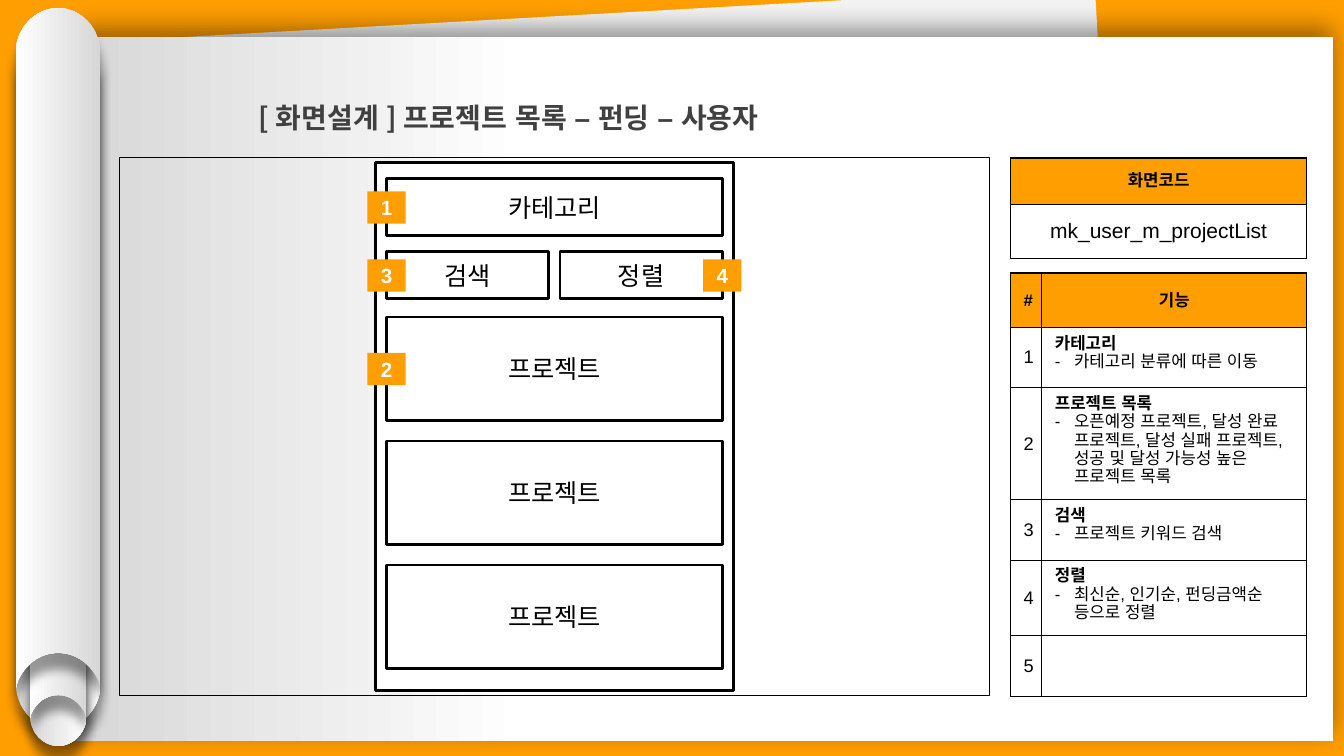
from dataclasses import dataclass
from typing import Optional

import lxml.etree
import pptx
import pptx.dml.color
import pptx.enum.shapes
import pptx.enum.text
import pptx.oxml
import pptx.oxml.ns
import pptx.util

COLORS = {"orange": "FF9E00", "white": "FFFFFF", "black": "000000",
          "sheet": "F2F2F2", "shade": "D7D7D7", "title": "404040"}
BODY_FONT, TITLE_FONT = "Arial", "Noto Sans CJK KR"
COLUMNS, ROWS = 160, 90
CENTER = pptx.enum.text.PP_ALIGN.CENTER
MIDDLE = pptx.enum.text.MSO_ANCHOR.MIDDLE
RECTANGLE = pptx.enum.shapes.MSO_SHAPE.RECTANGLE
qn = pptx.oxml.ns.qn

presentation = pptx.Presentation()
presentation.slide_width = pptx.util.Emu(12192000)
presentation.slide_height = pptx.util.Inches(7.5)
slide = presentation.slides.add_slide(presentation.slide_layouts[5])


def across(columns: float) -> int:
    return round(presentation.slide_width * columns / COLUMNS)


def down(rows: float) -> int:
    return round(presentation.slide_height * rows / ROWS)


def color(name: str):
    return pptx.dml.color.RGBColor.from_string(COLORS[name])


@dataclass(frozen=True)
class Box:
    column: float
    row: float
    width: float
    height: float

    def place(self) -> tuple:
        return across(self.column), down(self.row), across(self.width), down(self.height)


@dataclass(frozen=True)
class Panel:
    box: Box
    label: str
    badge: Optional[str] = None
    badge_right: bool = False


@dataclass(frozen=True)
class Feature:
    rows: float
    name: str = ""
    detail: str = ""


def add_run(paragraph, text: str, size: float, tint: str = "black",
            bold: bool = False, latin: str = BODY_FONT) -> None:
    run = paragraph.add_run()
    run.text = text
    font = run.font
    font.size, font.bold, font.name = pptx.util.Pt(size), bold, latin
    font.color.rgb = color(tint)
    properties = run._r.get_or_add_rPr()
    properties.set("lang", "ko-KR")
    lxml.etree.SubElement(properties, qn("a:ea")).set("typeface", BODY_FONT)


def add_rectangle(shapes, box: Box, fill: Optional[str] = None, line: float = 0):
    shape = shapes.add_shape(RECTANGLE, *box.place())
    shape.shadow.inherit = False
    if fill:
        shape.fill.solid()
        shape.fill.fore_color.rgb = color(fill)
    else:
        shape.fill.background()
    if line:
        shape.line.color.rgb = color("black")
        shape.line.width = pptx.util.Pt(line)
    else:
        shape.line.fill.background()
    return shape


def add_label(shape, text: str, size: float, tint: str = "black", bold: bool = False) -> None:
    shape.text_frame.vertical_anchor = MIDDLE
    paragraph = shape.text_frame.paragraphs[0]
    paragraph.alignment = CENTER
    add_run(paragraph, text, size, tint, bold)


def shade(shape, stops: tuple, blur: float, distance: float, direction: int) -> None:
    """Give a paper part its gradient and its soft shadow."""
    shape.line.fill.background()
    shape.fill.gradient()
    shape.fill.gradient_angle = 180
    for stop, (position, tint) in zip(shape.fill.gradient_stops, stops):
        stop.position, stop.color.rgb = position, color(tint)
    shape.shadow.inherit = False
    effects = shape._element.spPr.find(qn("a:effectLst"))
    effects.append(pptx.oxml.parse_xml(
        f'<a:outerShdw {pptx.oxml.ns.nsdecls("a")} blurRad="{pptx.util.Pt(blur)}" '
        f'dist="{pptx.util.Pt(distance)}" dir="{direction * 60000}" rotWithShape="0">'
        f'<a:srgbClr val="{COLORS["black"]}"><a:alpha val="40000"/></a:srgbClr></a:outerShdw>'))


def add_roll(shapes, box: Box, rotation: int) -> None:
    """Draw a tube with a domed top and a round notch at its foot."""
    left, top, width, height = box.place()
    foot = height / width
    points = [(0.5, 0), (0.77, 0), (1, 0.24), (1, 0.53), (1, foot), (0.98, foot - 0.08),
              (0.89, foot - 0.29), (0.71, foot - 0.42), (0.5, foot - 0.42),
              (0.29, foot - 0.42), (0.11, foot - 0.29), (0.02, foot - 0.08),
              (0, foot), (0, 0.53), (0, 0.24), (0.23, 0), (0.5, 0)]
    corners = [(left + x * width, top + y * width) for x, y in points]
    builder = shapes.build_freeform(*corners[0], scale=1.0)
    builder.add_line_segments(corners[1:], close=True)
    shape = builder.convert_to_shape()
    # Bend the dome and the notch: each curve takes three successive points
    segments = list(shape._element.iter(qn("a:lnTo")))
    for first in (0, 5, 8, 13):
        curve = lxml.etree.Element(qn("a:cubicBezTo"))
        segments[first].addprevious(curve)
        for segment in segments[first:first + 3]:
            curve.append(segment[0])
            segment.getparent().remove(segment)
    shape.rotation = rotation
    shade(shape, ((0, "shade"), (1, "white")), 7, 11, 90)


def add_grid(column: float, row: float, widths: list, heights: list):
    box = Box(column, row, sum(widths), sum(heights))
    table = slide.shapes.add_table(len(heights), len(widths), *box.place()).table
    table.first_row = table.horz_banding = False
    for table_column, width in zip(table.columns, widths):
        table_column.width = across(width)
    for table_row, height in zip(table.rows, heights):
        table_row.height = down(height)
    for index, cell in enumerate(table.iter_cells()):
        cell.margin_left = cell.margin_right = pptx.util.Inches(0.13)
        cell.margin_top = cell.margin_bottom = pptx.util.Inches(0.07)
        properties = cell._tc.get_or_add_tcPr()
        for side in ("lnL", "lnR", "lnT", "lnB"):
            properties.append(pptx.oxml.parse_xml(
                f'<a:{side} {pptx.oxml.ns.nsdecls("a")} w="12700"><a:solidFill>'
                f'<a:srgbClr val="{COLORS["black"]}"/></a:solidFill></a:{side}>'))
        if index < len(widths):
            cell.fill.solid()
            cell.fill.fore_color.rgb = color("orange")
        else:
            cell.fill.background()
    return table


def fill_cell(cell, text: str, size: float, bold: bool = False) -> None:
    cell.vertical_anchor = MIDDLE
    paragraph = cell.text_frame.paragraphs[0]
    paragraph.alignment = CENTER
    add_run(paragraph, text, size, bold=bold)


def fill_feature(cell, feature: Feature) -> None:
    heading = cell.text_frame.paragraphs[0]
    detail = cell.text_frame.add_paragraph()
    heading.line_spacing = detail.line_spacing = pptx.util.Pt(13)
    add_run(heading, feature.name, 12, bold=True)
    properties = detail._p.get_or_add_pPr()
    indent = pptx.util.Inches(0.19)
    for key, value in (("marL", indent), ("indent", -indent), ("hangingPunct", 0)):
        properties.set(key, str(value))
    lxml.etree.SubElement(properties, qn("a:buFont")).set("typeface", BODY_FONT)
    lxml.etree.SubElement(properties, qn("a:buChar")).set("char", "-")
    add_run(detail, feature.detail, 12)


# Paper scroll on an orange ground
slide.background.fill.solid()
slide.background.fill.fore_color.rgb = color("orange")
add_rectangle(slide.shapes, Box(10.92, 1.68, 121.8, 81.6), "sheet").rotation = -3.2
page = add_rectangle(slide.shapes, Box(8.76, 4.38, 150, 83.88), "white")
shade(page, ((0.64, "white"), (1, "shade")), 18, 6, 270)
scroll = slide.shapes.add_group_shape()
for roll, turn in ((Box(1.88, 5.76, 10.08, 81), 180), (Box(3.56, 34.56, 6.72, 54.24), 180),
                   (Box(3.56, 31.32, 6.72, 54.24), 0), (Box(1.88, 0.96, 10.08, 81), 0)):
    add_roll(scroll.shapes, roll, turn)

# Screen code
code_table = add_grid(120.3, 18.8, [35.28], [5.52, 6.48])
fill_cell(code_table.cell(0, 0), "화면코드", 12, bold=True)
fill_cell(code_table.cell(1, 0), "mk_user_m_projectList", 15)

# Title, brought in front of the paper
add_rectangle(slide.shapes, Box(14.22, 18.8, 103.56, 63.96), line=0.75)
title = slide.shapes.title
title.element.getparent().append(title.element)
title.left, title.top, title.width, title.height = Box(29.6, 9.36, 115.32, 7.32).place()
title.text_frame.vertical_anchor = pptx.enum.text.MSO_ANCHOR.TOP
title.text_frame.auto_size = pptx.enum.text.MSO_AUTO_SIZE.SHAPE_TO_FIT_TEXT
title_line = title.text_frame.paragraphs[0]
title_line.alignment, title_line.line_spacing = pptx.enum.text.PP_ALIGN.LEFT, 1.5
add_run(title_line, "[ 화면설계 ] 프로젝트 목록 – 펀딩 – 사용자", 20, "title", True, TITLE_FONT)

# Wireframe and its numbered badges
PANELS = [Panel(Box(46.02, 21.3, 39.96, 6.72), "카테고리", "1"),
          Panel(Box(46.02, 29.94, 19.32, 5.64), "검색", "3"),
          *(Panel(Box(46.02, 37.74 + 14.76 * i, 39.96, 12.32), "프로젝트", "2" if i == 0 else None)
            for i in range(3)),
          Panel(Box(66.66, 29.94, 19.32, 5.64), "정렬", "4", badge_right=True)]
wireframe = slide.shapes.add_group_shape()
add_rectangle(wireframe.shapes, Box(44.7, 19.32, 42.6, 62.88), "white", 2)
for panel in PANELS:
    add_label(add_rectangle(wireframe.shapes, panel.box, "white", 2), panel.label, 18)
for panel in filter(lambda item: item.badge, PANELS):
    edge = panel.box.column + panel.box.width * panel.badge_right
    middle = panel.box.row + panel.box.height / 2
    badge = add_rectangle(slide.shapes, Box(edge - 2.28, middle - 1.88, 4.56, 3.84), "orange")
    add_label(badge, panel.badge, 14.7, "white", True)

# Feature list
FEATURES = [Feature(7.2, "카테고리", "카테고리 분류에 따른 이동"),
            Feature(13.32, "프로젝트 목록", "오픈예정 프로젝트, 달성 완료 프로젝트, 달성 실패 프로젝트, "
                    "성공 및 달성 가능성 높은 프로젝트 목록"),
            Feature(7.2, "검색", "프로젝트 키워드 검색"),
            Feature(9, "정렬", "최신순, 인기순, 펀딩금액순 등으로 정렬"),
            Feature(7.2)]
feature_table = add_grid(120.3, 32.5, [3.72, 31.56], [6.48, *(item.rows for item in FEATURES)])
for position, header in enumerate(("#", "기능")):
    fill_cell(feature_table.cell(0, position), header, 12, bold=True)
for number, feature in enumerate(FEATURES, start=1):
    fill_cell(feature_table.cell(number, 0), str(number), 13)
    if feature.name:
        fill_feature(feature_table.cell(number, 1), feature)

presentation.save("out.pptx")
